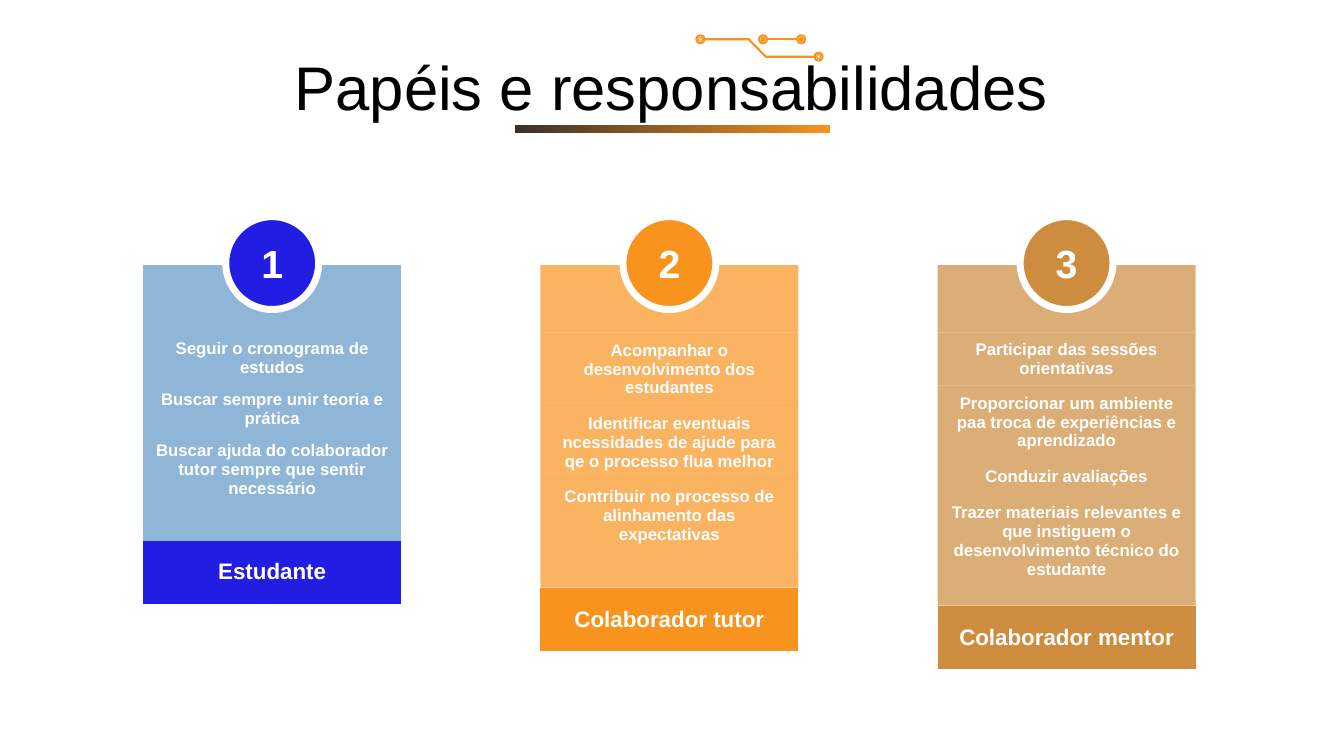
from lxml.etree import SubElement
from pptx import Presentation
from pptx.dml.color import RGBColor
from pptx.enum.shapes import MSO_CONNECTOR as CONNECTOR, MSO_SHAPE as SHAPE
from pptx.enum.text import MSO_ANCHOR as ANCHOR, PP_ALIGN as ALIGN
from pptx.oxml.ns import qn
from pptx.util import Cm, Pt

ORANGE, WHITE = "F8931D", "FFFFFF"
NO_STYLE = "{2D5ABB26-0587-4C30-8999-92F81FD0307C}"
CARD_LEFT, CARD_STEP, CARD_WIDTH, CARD_TOP = 3.61, 10.01, 6.5, 6.68
CIRCLE_SIZE, CIRCLE_TOP = 2.34, 5.46
NUMBER_WIDTH, NUMBER_HEIGHT = 1.7, 1.45


def color(hex_value):
    return RGBColor.from_string(hex_value)


def write(text_frame, text, size, hex_value=WHITE, bold=True):
    text_frame.text = text
    paragraph = text_frame.paragraphs[0]
    paragraph.alignment = ALIGN.CENTER
    for run in paragraph.runs:
        run.font.name = "Arial"
        run.font.size = Pt(size)
        run.font.bold = bold
        run.font.color.rgb = color(hex_value)
    return paragraph


presentation = Presentation()
presentation.slide_width, presentation.slide_height = Cm(33.87), Cm(19.05)
slide = presentation.slides.add_slide(presentation.slide_layouts[6])
shapes = slide.shapes

cards = [
    ("221DE3", "8FB5D7", 100, "Estudante", [
        ("Seguir o cronograma de estudos", 1.28),
        ("Buscar sempre unir teoria e prática", 1.28),
        ("Buscar ajuda do colaborador tutor sempre que sentir necessário", 1.79),
        ("", 0.89)]),
    (ORANGE, ORANGE, 70, "Colaborador tutor", [
        ("Acompanhar o desenvolvimento dos estudantes", 1.79),
        ("Identificar eventuais ncessidades de ajude para qe o processo flua melhor", 1.79),
        ("Contribuir no processo de alinhamento das expectativas", 1.79),
        ("", 0.89)]),
    ("CE8D3E", "CE8D3E", 70, "Colaborador mentor", [
        ("Participar das sessões orientativas", 1.28),
        ("Proporcionar um ambiente paa troca de experiências e aprendizado", 1.79),
        ("Conduzir avaliações", 0.89),
        ("Trazer materiais relevantes e que instiguem o desenvolvimento técnico do estudante", 2.81)]),
]

for index, (accent, body_fill, opacity, role, duties) in enumerate(cards):
    left = CARD_LEFT + index * CARD_STEP
    rows = [("", 1.7), *duties, (role, 1.6)]
    total_height = sum(height for text, height in rows)
    table = shapes.add_table(len(rows), 1, Cm(left), Cm(CARD_TOP),
                             Cm(CARD_WIDTH), Cm(total_height)).table
    table.first_row = table.horz_banding = False
    table._tbl.tblPr.find(qn("a:tableStyleId")).text = NO_STYLE
    for row_index, (text, height) in enumerate(rows):
        is_role = row_index == len(rows) - 1
        table.rows[row_index].height = Cm(height)
        cell = table.cell(row_index, 0)
        cell.vertical_anchor = ANCHOR.MIDDLE
        cell.margin_top = Cm(0.16)
        cell.margin_bottom = Cm(0.6 if height > 2.5 else 0.16)
        cell.fill.solid()
        cell.fill.fore_color.rgb = color(accent if is_role else body_fill)
        if opacity < 100 and not is_role:
            fill_color = cell._tc.tcPr.find(qn("a:solidFill")).find(qn("a:srgbClr"))
            SubElement(fill_color, qn("a:alpha")).set("val", str(opacity * 1000))
        paragraph = write(cell.text_frame, text, 16 if is_role else 12)
        if not text:
            SubElement(paragraph._p, qn("a:endParaRPr")).set("sz", "1200")

    circle = shapes.add_shape(SHAPE.OVAL, Cm(left + (CARD_WIDTH - CIRCLE_SIZE) / 2),
                              Cm(CIRCLE_TOP), Cm(CIRCLE_SIZE), Cm(CIRCLE_SIZE))
    circle.shadow.inherit = False
    circle.fill.solid()
    circle.fill.fore_color.rgb = color(accent)
    circle.line.color.rgb = color(WHITE)
    circle.line.width = Pt(5)

    number = shapes.add_textbox(Cm(left + (CARD_WIDTH - NUMBER_WIDTH) / 2),
                                Cm(CIRCLE_TOP + (CIRCLE_SIZE - NUMBER_HEIGHT) / 2),
                                Cm(NUMBER_WIDTH), Cm(NUMBER_HEIGHT))
    number.text_frame.word_wrap = True
    number.text_frame.vertical_anchor = ANCHOR.MIDDLE
    write(number.text_frame, str(index + 1), 28)

title = shapes.add_textbox(Cm(2.03), Cm(1.65), Cm(29.79), Cm(1.27))
title_frame = title.text_frame
title_frame.word_wrap = True
title_frame.vertical_anchor = ANCHOR.MIDDLE
title_frame.margin_left = title_frame.margin_right = Cm(0.18)
title_frame.margin_top = title_frame.margin_bottom = Cm(0.18)
write(title_frame, "Papéis e responsabilidades", 44, "000000", False).line_spacing = 0.9

underline = shapes.add_shape(SHAPE.RECTANGLE, Cm(12.98), Cm(3.16), Cm(7.92), Cm(0.19))
underline.shadow.inherit = False
underline.line.fill.background()
underline.fill.gradient()
underline.fill.gradient_angle = 345
for stop, hex_value in zip(underline.fill.gradient_stops, ("39302A", ORANGE)):
    stop.color.rgb = color(hex_value)

builder = shapes.build_freeform(Cm(20.53), Cm(1.43))
builder.add_line_segments([(Cm(19.3), Cm(1.43)), (Cm(18.87), Cm(0.99)),
                           (Cm(17.75), Cm(0.99))], close=False)
trace = builder.convert_to_shape()
trace.shadow.inherit = False
trace.fill.background()

link = shapes.add_connector(CONNECTOR.STRAIGHT, Cm(19.33), Cm(0.99), Cm(20.09), Cm(0.99))
SubElement(link._element.spPr, qn("a:effectLst"))
for wire in (trace, link):
    wire.line.color.rgb = color(ORANGE)
    wire.line.width = Pt(1.5)

nodes = [(17.65, 0.99, WHITE), (20.63, 1.43, WHITE), (20.19, 0.99, ORANGE), (19.23, 0.99, ORANGE)]
for center_x, center_y, core_fill in nodes:
    for diameter, line_width in ((0.2, 1.5), (0.1, 0.75)):
        ring = shapes.add_shape(SHAPE.OVAL, Cm(center_x - diameter / 2),
                                Cm(center_y - diameter / 2), Cm(diameter), Cm(diameter))
        ring.shadow.inherit = False
        ring.line.color.rgb = color(ORANGE)
        ring.line.width = Pt(line_width)
        if diameter == 0.2:
            ring.fill.background()
        else:
            ring.fill.solid()
            ring.fill.fore_color.rgb = color(core_fill)

presentation.save("out.pptx")
